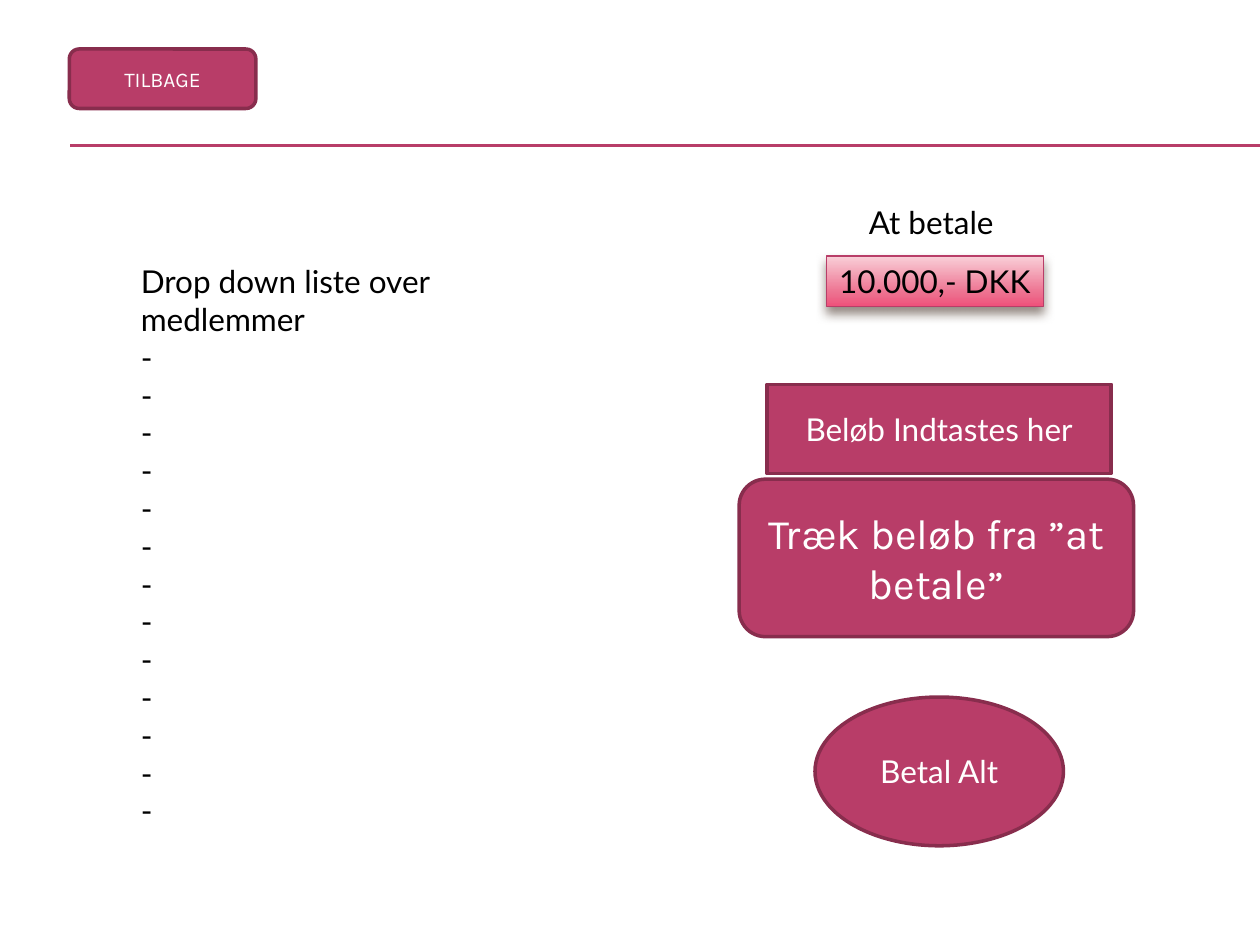
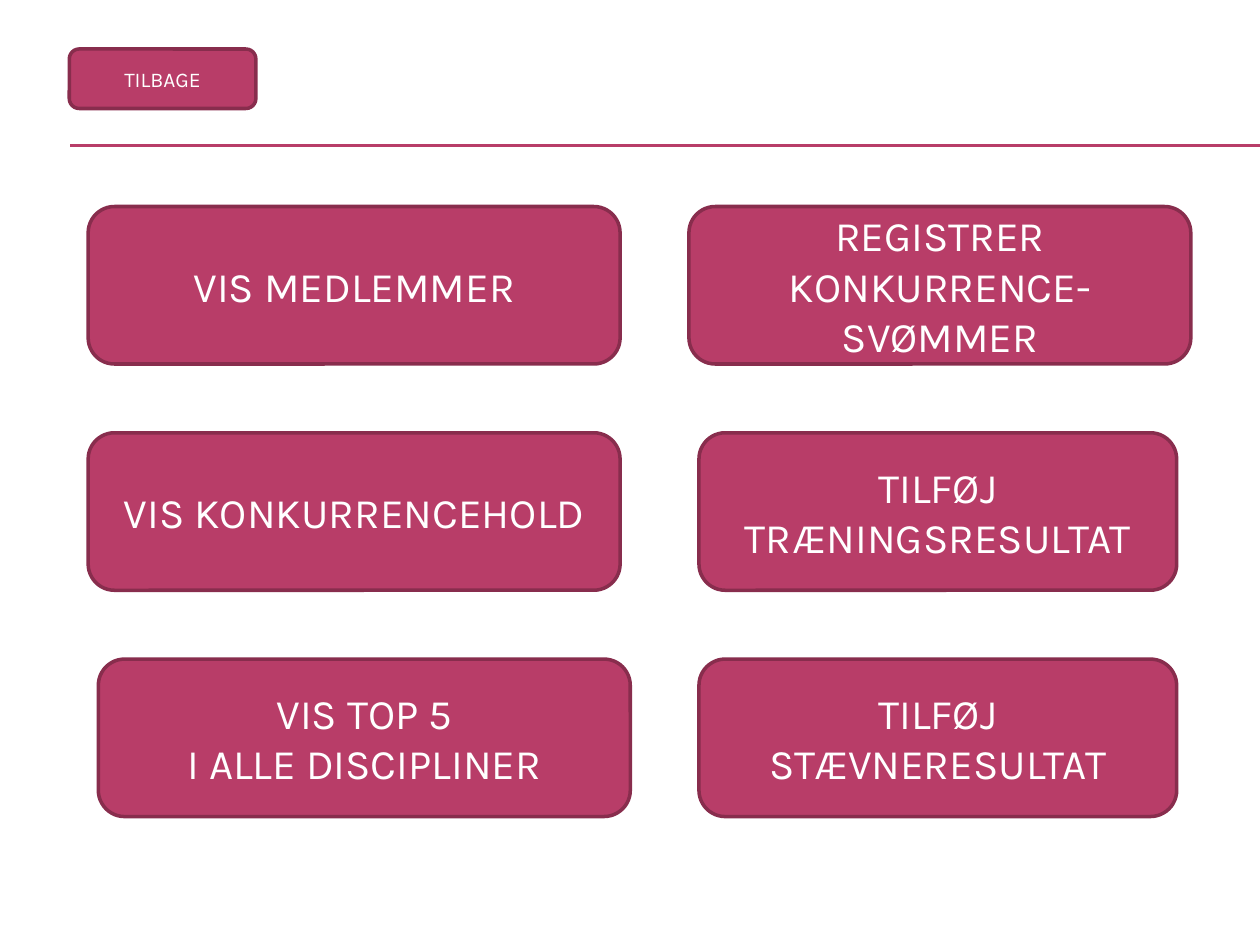
from lxml import etree
from pptx import Presentation
from pptx.dml.color import RGBColor
from pptx.enum.shapes import MSO_CONNECTOR, MSO_SHAPE
from pptx.enum.text import MSO_ANCHOR, MSO_AUTO_SIZE, PP_ALIGN
from pptx.oxml import parse_xml
from pptx.oxml.ns import nsdecls, qn
from pptx.util import Pt

COLOURS = {
    "rose": "B83D68",
    "wine": "882D4D",
    "white": "FFFFFF",
    "black": "000000",
    "shade": "4E3B30",
    "blush": "F9CFD8",
    "pink": "ED7290",
    "coral": "EE507A",
}
HEADING, BODY = "Karla", "Lato"
PAGE_WIDTH, PAGE_HEIGHT = 720, 540
BUTTON_HEIGHT = 90


def colour(name):
    """Return the named palette colour."""
    return RGBColor.from_string(COLOURS[name])


def write(shape, text, font, size, ink, align=PP_ALIGN.LEFT):
    """Set the text of a shape and format every run."""
    shape.text_frame.text = text
    for para in shape.text_frame.paragraphs:
        para.alignment = align
        for span in para.runs:
            span.font.name = font
            span.font.size = Pt(size)
            span.font.color.rgb = colour(ink)


def add_block(page, box, kind, line_name="wine", line_width=2):
    """Add a flat filled shape in the given box."""
    block = page.shapes.add_shape(kind, *map(Pt, box))
    block.shadow.inherit = False
    block.fill.solid()
    block.fill.fore_color.rgb = colour("rose")
    block.line.color.rgb = colour(line_name)
    block.line.width = Pt(line_width)
    return block


def add_button(page, box, text, font=HEADING, size=24,
               kind=MSO_SHAPE.ROUNDED_RECTANGLE):
    """Add a rose button with a centred white label."""
    button = add_block(page, box, kind)
    write(button, text, font, size, "white", PP_ALIGN.CENTER)
    button.text_frame.word_wrap = True
    button.text_frame.vertical_anchor = MSO_ANCHOR.MIDDLE


def add_label(page, box, text, wrap):
    """Add a plain text box that grows with its text."""
    label = page.shapes.add_textbox(*map(Pt, box))
    write(label, text, BODY, 18, "black")
    label.text_frame.word_wrap = wrap
    label.text_frame.auto_size = MSO_AUTO_SIZE.SHAPE_TO_FIT_TEXT


def add_amount(page, box, text):
    """Add the amount due on a shaded panel with a soft shadow."""
    panel = add_block(page, box, MSO_SHAPE.RECTANGLE, "rose", 0.79)
    write(panel, text, BODY, 18, "black")
    panel.text_frame.word_wrap = False
    panel.text_frame.vertical_anchor = MSO_ANCHOR.TOP
    panel.text_frame.auto_size = MSO_AUTO_SIZE.SHAPE_TO_FIT_TEXT
    stops = "".join(
        f'<a:gs pos="{place * 1000}"><a:srgbClr val="{COLOURS[name]}"/></a:gs>'
        for place, name in ((0, "blush"), (72, "pink"), (100, "coral")))
    gradient = parse_xml(
        f'<a:gradFill {nsdecls("a")} rotWithShape="1"><a:gsLst>{stops}</a:gsLst>'
        '<a:lin ang="5400000" scaled="0"/></a:gradFill>')
    properties = panel.element.spPr
    properties.replace(properties.find(qn("a:solidFill")), gradient)
    shadow = parse_xml(
        f'<a:outerShdw {nsdecls("a")} blurRad="{Pt(6)}" dist="{Pt(4)}" '
        'dir="5400000" rotWithShape="0">'
        f'<a:srgbClr val="{COLOURS["shade"]}"><a:alpha val="60000"/></a:srgbClr>'
        '</a:outerShdw>')
    properties.find(qn("a:effectLst")).append(shadow)


def add_rules(page):
    """Put the double header rule on the layout that the page uses."""
    for top in (82.8, 83.5):
        rule = page.shapes.add_connector(
            MSO_CONNECTOR.STRAIGHT, Pt(40.3), Pt(top), Pt(PAGE_WIDTH), Pt(top))
        rule.line.color.rgb = colour("rose")
        rule.line.width = Pt(0.75)
        etree.SubElement(rule.element.spPr, qn("a:effectLst"))
        page.slide_layout.shapes.element.append(rule.element)


def add_page(deck):
    """Add a page without a title."""
    return deck.slides.add_slide(deck.slide_layouts[6])


def add_back_button(page):
    """Add the back button above the header rule."""
    add_button(page, (39.6, 28, 106.6, 34), "TILBAGE", size=12)


def build_payment(page, box):
    """Place the member list on the left and the payment column on the right."""
    left, top, width, height = box
    right = left + 349
    add_button(page, (right, top + 161.5, 225.4, BUTTON_HEIGHT),
               "Træk beløb fra ”at betale”")
    members = ["Drop down liste over medlemmer"] + ["-"] * 13
    add_label(page, (left, top + 34, 266.4, height - 34),
              "\n".join(members), True)
    add_button(page, (right + 16, top + 107.3, 196.6, 51),
               "Beløb Indtastes her", BODY, 18, MSO_SHAPE.RECTANGLE)
    add_button(page, (right + 43.3, top + 286, 142, 85),
               "Betal Alt", BODY, 18, MSO_SHAPE.OVAL)
    add_label(page, (right + 67, top, 86.4, 29), "At betale", False)
    add_amount(page, (right + 50, top + 34, 123.8, 29), "10.000,- DKK")


def build_menu(page, box, rows):
    """Place rows of two menu buttons, evenly spaced down the box."""
    left, top, width, height = box
    pitch = (height - BUTTON_HEIGHT) / (len(rows) - 1)
    for index, row in enumerate(rows):
        for text, offset, button_width in row:
            add_button(page, (left + offset, top + index * pitch,
                              button_width, BUTTON_HEIGHT), text)


MENU = [
    [("VIS MEDLEMMER", 0, 304),
     ("REGISTRER KONKURRENCE-SVØMMER", 343.3, 286.8)],
    [("VIS KONKURRENCEHOLD", 0, 304),
     ("TILFØJ TRÆNINGSRESULTAT", 349, 273)],
    [("VIS TOP 5\vI ALLE DISCIPLINER", 5.8, 304),
     ("TILFØJ STÆVNERESULTAT", 349, 273)],
]

deck = Presentation()
deck.slide_width, deck.slide_height = Pt(PAGE_WIDTH), Pt(PAGE_HEIGHT)

payment = add_page(deck)
add_rules(payment)
build_payment(payment, (73.4, 112.3, 574.4, 368))
add_back_button(payment)

menu = add_page(deck)
build_menu(menu, (50.4, 118, 630, 348.6), MENU)
add_back_button(menu)

deck.save("out.pptx")
